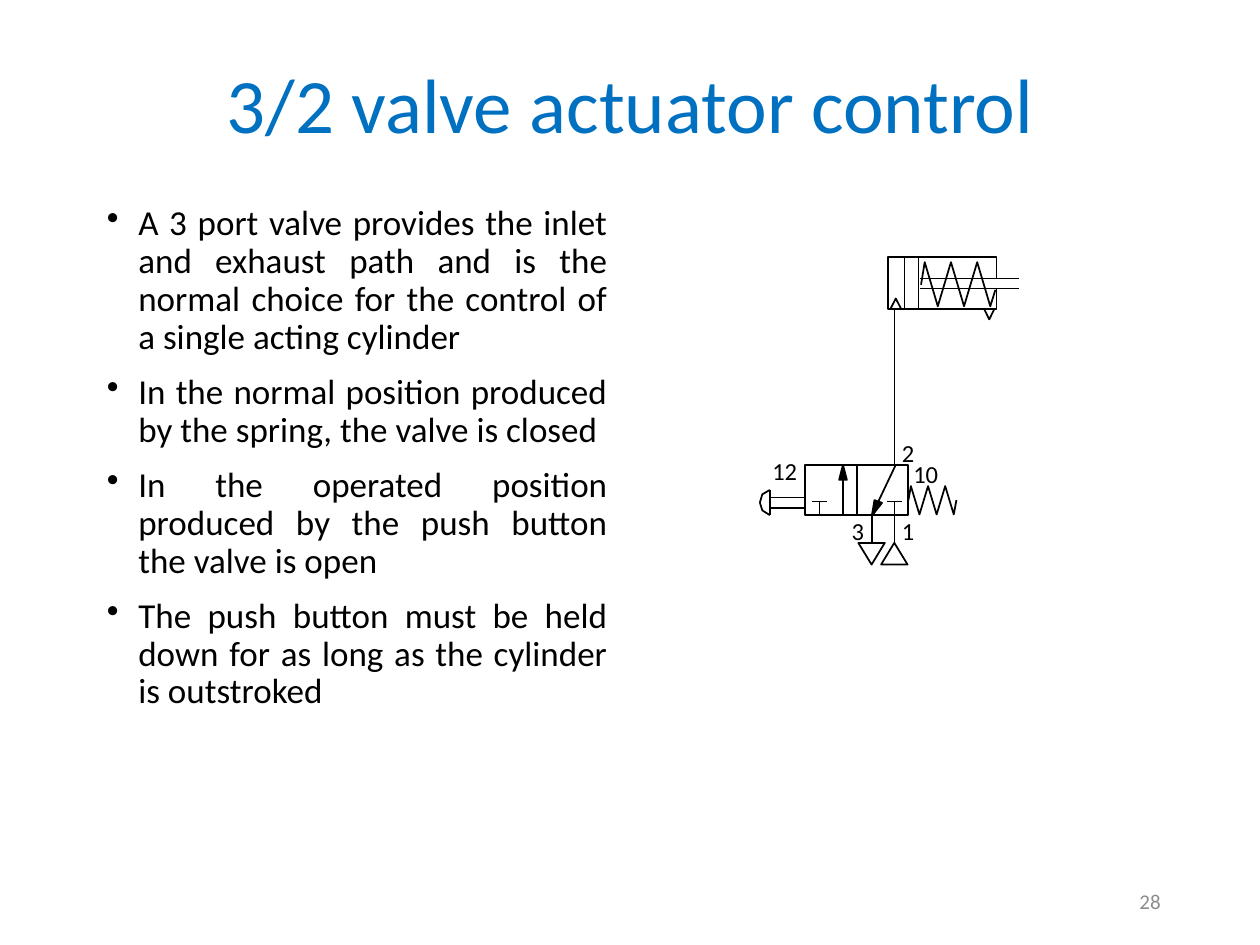
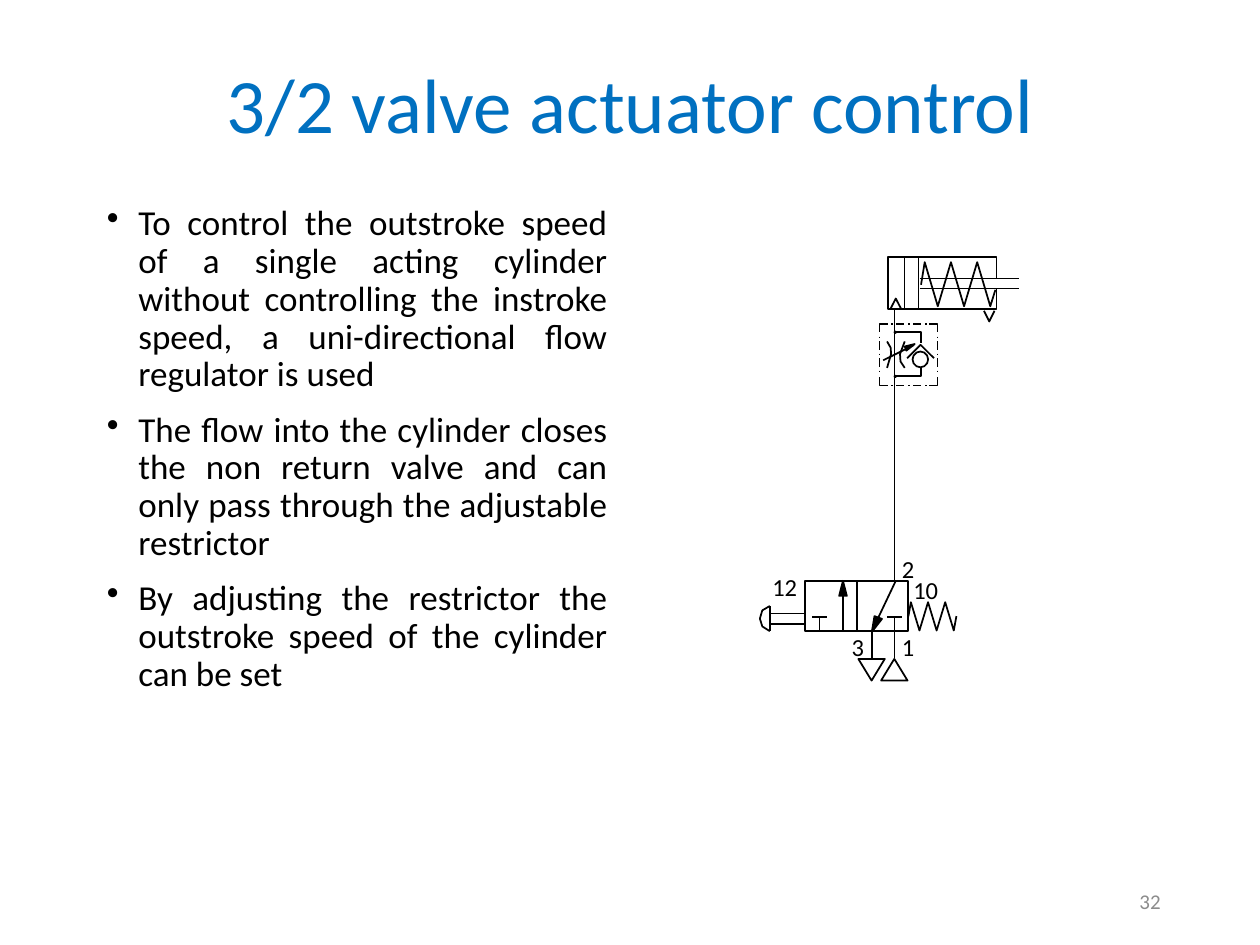
import dataclasses

import lxml.etree
import pptx
import pptx.dml.color
import pptx.enum.shapes
import pptx.enum.text
import pptx.oxml
import pptx.oxml.ns
import pptx.util

Pt = pptx.util.Pt
Shape = pptx.enum.shapes.MSO_SHAPE
Align = pptx.enum.text.PP_ALIGN
Anchor = pptx.enum.text.MSO_ANCHOR
AutoSize = pptx.enum.text.MSO_AUTO_SIZE


@dataclasses.dataclass(frozen=True)
class Theme:
    font: str = "Calibri"
    ink: str = "000000"
    title: str = "0070C0"
    muted: str = "8C8C8C"
    title_size: int = 44
    body_size: int = 20
    label_size: int = 14
    number_size: int = 12
    line_width: int = 1


THEME = Theme()
TITLE = "3/2 valve actuator control"
SUPPLY_X = 511.2  # the line from valve port 2 to the cylinder
SUPPLY_TOP = 177.1

SLIDES = [
    dict(number="28", valve_top=265.6, exhaust_top=176.4, regulator=False, points=[
        "A 3 port valve provides the inlet and exhaust path and is the normal choice "
        "for the control of a single acting cylinder",
        "In the normal position produced by the spring, the valve is closed",
        "In the operated position produced by the push button the valve is open",
        "The push button must be held down for as long as the cylinder is outstroked",
    ]),
    dict(number="32", valve_top=331.9, exhaust_top=177.6, regulator=True, points=[
        "To control the outstroke speed of a single acting cylinder without controlling "
        "the instroke speed, a uni-directional flow regulator is used",
        "The flow into the cylinder closes the non return valve and can only pass "
        "through the adjustable restrictor",
        "By adjusting the restrictor the outstroke speed of the cylinder can be set",
    ]),
]


def color(value):
    return pptx.dml.color.RGBColor.from_string(value)


def apply(target, values):
    for name, value in values.items():
        setattr(target, name, value)


# Text

def write(para, text, size, tint=THEME.ink, **layout):
    apply(para, layout)
    span = para.add_run()
    span.text = text
    apply(span.font, dict(name=THEME.font, size=Pt(size)))
    span.font.color.rgb = color(tint)


def add_bullet(para, indent=18):
    properties = para._p.get_or_add_pPr()
    properties.set("marL", str(Pt(indent)))
    properties.set("indent", str(-Pt(indent)))
    bullet = lxml.etree.SubElement(properties, pptx.oxml.ns.qn("a:buChar"))
    bullet.set("char", "•")


def add_text_box(shapes, left, top, width, height, **frame):
    box = shapes.add_textbox(Pt(left), Pt(top), Pt(width), Pt(height))
    apply(box.text_frame, dict(word_wrap=True) | frame)
    return box.text_frame


def add_title(page):
    title = page.shapes.title
    apply(title, dict(left=Pt(91.4), top=Pt(33.1), width=Pt(537.8), height=Pt(58.3)))
    apply(title.text_frame, dict(vertical_anchor=Anchor.MIDDLE, auto_size=AutoSize.NONE))
    write(title.text_frame.paragraphs[0], TITLE, THEME.title_size, THEME.title,
          alignment=Align.CENTER, line_spacing=0.9)


def add_points(page, points):
    frame = add_text_box(page.shapes, 54, 113.8, 300.2, 354.2)
    for index, point in enumerate(points):
        para = frame.add_paragraph() if index else frame.paragraphs[0]
        add_bullet(para)
        write(para, point, THEME.body_size, alignment=Align.JUSTIFY,
              line_spacing=0.9, space_before=Pt(10 if index else 0))


def add_number(page, number):
    frame = add_text_box(page.shapes, 508.3, 500.4, 162, 28.8,
                         vertical_anchor=Anchor.MIDDLE)
    write(frame.paragraphs[0], number, THEME.number_size, THEME.muted,
          alignment=Align.RIGHT)


def add_label(shapes, text, left, top):
    frame = add_text_box(shapes, left, top, 14.4 + 7.9 * len(text), 23.8,
                         word_wrap=False, auto_size=AutoSize.SHAPE_TO_FIT_TEXT)
    write(frame.paragraphs[0], text, THEME.label_size)


# Drawing

def ink_line(shape):
    shape.line.color.rgb = color(THEME.ink)
    shape.line.width = Pt(THEME.line_width)


def ink_shape(shape, filled):
    shape.shadow.inherit = False
    if filled:
        shape.fill.solid()
        shape.fill.fore_color.rgb = color(THEME.ink)
    else:
        shape.fill.background()
    ink_line(shape)


def add_line(shapes, x1, y1, x2, y2):
    line = shapes.add_connector(pptx.enum.shapes.MSO_CONNECTOR.STRAIGHT,
                                Pt(x1), Pt(y1), Pt(x2), Pt(y2))
    ink_line(line)
    lxml.etree.SubElement(line._element.spPr, pptx.oxml.ns.qn("a:effectLst"))


def add_outline(shapes, points, filled=False):
    start, *rest = [(Pt(x), Pt(y)) for x, y in points]
    builder = shapes.build_freeform(*start)
    builder.add_line_segments(rest, close=filled)
    ink_shape(builder.convert_to_shape(), filled)


def add_preset(shapes, kind, left, top, width, height, filled=False, rotation=0):
    shape = shapes.add_shape(kind, Pt(left), Pt(top), Pt(width), Pt(height))
    shape.rotation = rotation
    ink_shape(shape, filled)


def add_spring(shapes, start, end, first_x, step, low, high):
    coils = [(first_x - step * i, high if i % 2 else low) for i in range(6)]
    add_outline(shapes, [start, *coils, end])


# Pneumatic symbols

def add_cylinder(page, exhaust_top):
    shapes = page.shapes.add_group_shape().shapes
    left, right, top, bottom = 507.6, 569.4, 146.7, 176.6
    rod = 159.1, 164.9
    for y in rod:
        add_line(shapes, 525.6, y, 582.5, y)
    for x in (524.9, 516.9):
        add_line(shapes, x, top, x, bottom)
    add_outline(shapes, [(right, rod[0]), (right, top), (left, top),
                         (left, bottom), (right, bottom), (right, rod[1])])
    add_spring(shapes, (568.8, 165.6), (526.3, 162.7), 565.9, 7.5, 175, 149.8)
    for x, y, tip in ((511.9, 176.4, -5.8), (565.3, exhaust_top, 6.1)):
        add_outline(shapes, [(x - 3, y), (x, y + tip), (x + 3, y)])


def add_valve(page, top):
    shapes = page.shapes.add_group_shape().shapes
    left, width, height = 460.1, 59, 28.8
    right, bottom = left + width, top + height
    exhaust_x, open_x = 498.2, 481.7

    # Two switching positions with their flow paths
    add_preset(shapes, Shape.RECTANGLE, left, top, width, height)
    add_line(shapes, left + width / 2, top, left + width / 2, bottom)
    add_line(shapes, 511.9, top, exhaust_x, bottom)
    add_line(shapes, open_x, bottom, open_x, top)
    add_outline(shapes, [(open_x, top), (open_x - 2.2, top + 8.6),
                         (open_x + 2.2, top + 8.6)], filled=True)
    add_outline(shapes, [(exhaust_x, bottom + 0.4), (499.7, top + 20.2),
                         (504, top + 21.8)], filled=True)

    # Blocked ports
    for x in (468.3, SUPPLY_X):
        add_line(shapes, x - 4.2, top + 20.9, x + 4.2, top + 20.9)
        add_line(shapes, x, top + 20.9, x, bottom)

    # Exhaust and pressure supply
    for x, rotation in ((exhaust_x, 180), (SUPPLY_X, 0)):
        add_line(shapes, x, bottom, x, top + 43.9)
        add_preset(shapes, Shape.ISOSCELES_TRIANGLE, x - 7.7, top + 44.6, 15.1, 12.4,
                   rotation=rotation)

    # Return spring and push button
    add_spring(shapes, (546.5, top + 20.2), (right, top + 20.2), 545, 4.9,
               top + 28.4, top + 12.2)
    button_x = 439.9
    add_line(shapes, button_x, top + 14.4, button_x, bottom)
    add_outline(shapes, [(button_x - depth, top + y) for depth, y in
                         ((0, 14.4), (4.3, 16.9), (5.7, 21.6), (4.3, 26.1), (0, 28.8))])
    for y in (18.7, 24.5):
        add_line(shapes, button_x + 0.7, top + y, left - 0.7, top + y)

    for text, x, y in (("1", 508.3, 25.9), ("2", 508.3, -18.7), ("3", 479.5, 25.9),
                       ("12", 434.2, -8.6), ("10", 514.8, -6.8)):
        add_label(shapes, text, x, top + y)


def add_dash_dot_frame(shapes, left, top, right, bottom):
    corner, dash, dot = 4.8, 4.7, 0.7
    for x, inward_x in ((left, corner), (right, -corner)):
        for y, inward_y in ((top, corner), (bottom, -corner)):
            add_outline(shapes, [(x + inward_x, y), (x, y), (x, y + inward_y)])
    marks = [(6.8, dot), (9.5, dash), (16.5, dot), (19.2, dash), (26.2, dot)]
    for offset, length in marks:
        for y in (top, bottom):
            add_line(shapes, left + offset, y, left + offset + length, y)
        for x in (left, right):
            start = top + offset + 0.6
            add_line(shapes, x, start, x, start + length)


def add_flow_regulator(page):
    shapes = page.shapes.add_group_shape().shapes
    add_dash_dot_frame(shapes, 502.6, 185, 535.7, 220.3)

    # Bypass with non return valve
    bypass_x = 526.1
    for y, inner_y in ((189.9, 196), (215.1, 210.4)):
        add_outline(shapes, [(bypass_x, inner_y), (bypass_x, y), (SUPPLY_X, y)])
        add_preset(shapes, Shape.OVAL, SUPPLY_X, y - 0.4, 0.8, 0.8, filled=True)
    add_outline(shapes, [(518.4, 204.7), (bypass_x, 197.1), (533.7, 204.7)])
    add_preset(shapes, Shape.OVAL, 521.5, 200.9, 8.9, 9)

    # Adjustable restrictor
    add_outline(shapes, [(517, 195.1), (514.3, 202.3), (514.6, 206.6), (517, 210.2)])
    add_outline(shapes, [(506.9, 210.2), (509.2, 202.3), (509, 198.7), (506.9, 195.1)])
    add_line(shapes, 504.7, 205.9, 522, 197.3)
    add_outline(shapes, [(522.7, 196.6), (517, 198), (517.9, 200.4)], filled=True)


def main():
    deck = pptx.Presentation()
    apply(deck, dict(slide_width=Pt(720), slide_height=Pt(540)))
    title_only = deck.slide_layouts.get_by_name("Title Only")
    for content in SLIDES:
        page = deck.slides.add_slide(title_only)
        add_title(page)
        add_points(page, content["points"])
        add_cylinder(page, content["exhaust_top"])
        add_line(page.shapes, SUPPLY_X, SUPPLY_TOP, SUPPLY_X, content["valve_top"])
        add_valve(page, content["valve_top"])
        if content["regulator"]:
            add_flow_regulator(page)
        add_number(page, content["number"])
    deck.save("out.pptx")


if __name__ == "__main__":
    main()
